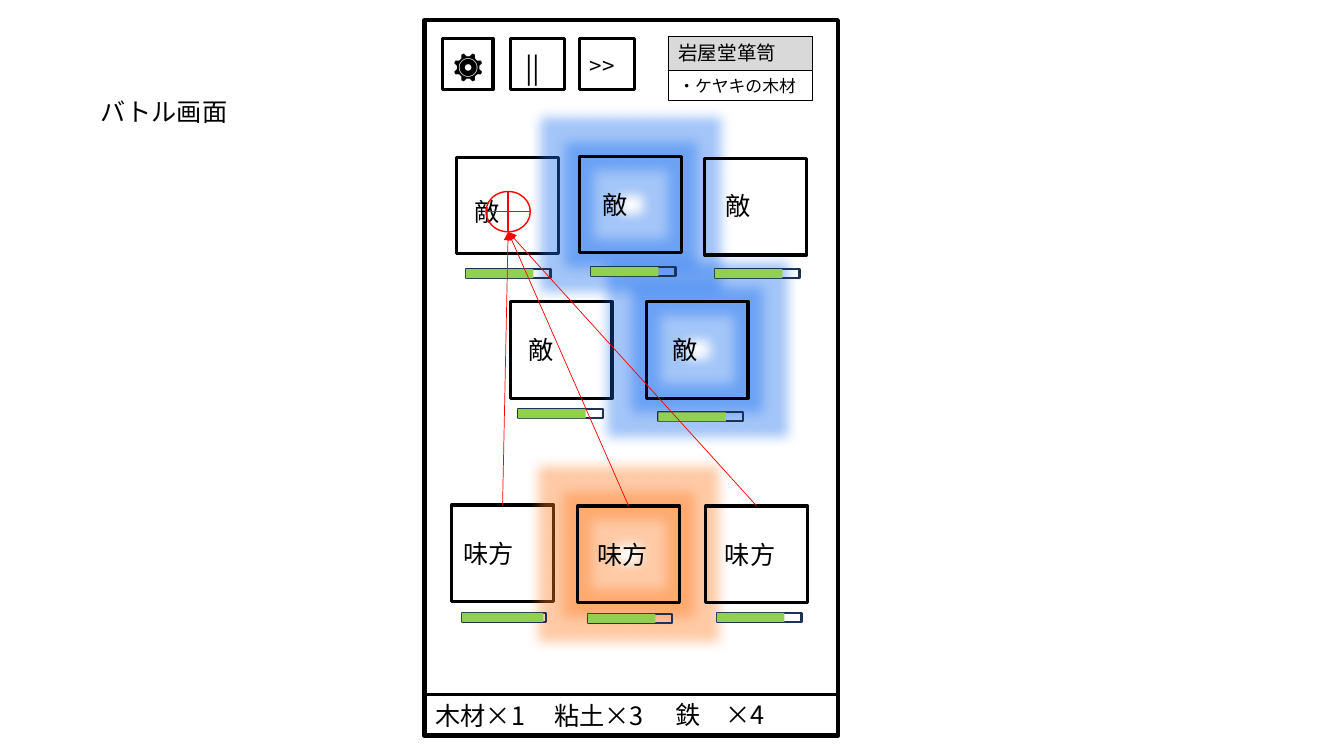
from dataclasses import dataclass
from typing import Optional

from lxml import etree
from pptx import Presentation
from pptx import util as u
from pptx.dml.color import RGBColor
from pptx.enum import shapes as sh, text as tx
from pptx.oxml import ns

COLS, ROWS = 1333, 750
FONT = "Noto Sans CJK JP"
BLACK, RED, NAVY = "000000", "FF0000", "1E3256"
GREEN, GRAY = "92D050", "D9D9D9"
BLUE, ORANGE = "196EF0", "FF7C20"
CARD_W, CARD_H = 101, 96
BAR_W, BAR_H = 84, 9

deck = Presentation()
deck.slide_width, deck.slide_height = u.Inches(13.33), u.Inches(7.5)
slide = deck.slides.add_slide(deck.slide_layouts[6])


@dataclass
class Box:
    """An area in grid columns and rows."""
    col: float
    row: float
    wide: float
    high: float

    def emu(self) -> list[int]:
        return [int(deck.slide_width * self.col / COLS),
                int(deck.slide_height * self.row / ROWS),
                int(deck.slide_width * self.wide / COLS),
                int(deck.slide_height * self.high / ROWS)]


@dataclass
class Card:
    """A fighter: card corner, label corner, health bar corner and level."""
    name: str
    card: tuple[int, int]
    label: tuple[int, int]
    bar: tuple[int, int]
    level: int = 67
    glow: Optional[str] = None


@dataclass
class Label:
    text: str
    box: Box
    size: int = 18


@dataclass
class Panel:
    label: Label
    fill: Optional[str] = None


ALLIES = [
    Card("味方", (448, 501), (450, 529), (458, 608), level=81),
    Card("味方", (573, 502), (583, 530), (583, 609), glow=ORANGE),
    Card("味方", (700, 502), (709, 530), (711, 608)),
]
FOES = [
    Card("敵", (453, 156), (461, 190), (462, 267)),
    Card("敵", (575, 155), (588, 183), (586, 265), glow=BLUE),
    Card("敵", (699, 157), (710, 184), (709, 267)),
    Card("敵", (506, 299), (514, 327), (514, 406)),
    Card("敵", (641, 299), (657, 327), (653, 409), glow=BLUE),
]
BUTTONS = [
    (Box(506, 38, 54, 51), Label("||", Box(511, 45, 45, 44), 20)),
    (Box(439, 38, 50, 51), Label("⚙", Box(439, 39, 54, 50), 24)),
    (Box(575, 38, 54, 51), Label(">>", Box(575, 47, 54, 37), 16)),
]
STOCK = [
    Label("木材×1", Box(422, 690, 125, 40)),
    Label("粘土×3", Box(540, 690, 130, 40)),
    Label("鉄\u3000×4".replace("\u3000", "　"), Box(660, 689, 135, 40)),
]
PANELS = [
    Panel(Label("岩屋堂箪笥", Box(663, 36, 143, 34), 14), GRAY),
    Panel(Label("・ケヤキの木材", Box(663, 70, 143, 30), 12)),
]


def hue(code: str) -> RGBColor:
    return RGBColor.from_string(code)


def tag(root, name: str, **attrs: str):
    """Append a DrawingML element."""
    return etree.SubElement(root, ns.qn("a:" + name), attrs)


def shape(box: Box, line: Optional[str] = BLACK, width: float = 2.25,
          fill: Optional[str] = None, kind=sh.MSO_SHAPE.RECTANGLE):
    item = slide.shapes.add_shape(kind, *box.emu())
    item.shadow.inherit = False
    if fill:
        item.fill.solid()
        item.fill.fore_color.rgb = hue(fill)
    else:
        item.fill.background()
    if line:
        item.line.color.rgb = hue(line)
        item.line.width = u.Pt(width)
    else:
        item.line.fill.background()
    return item


def shine(item, color: str) -> None:
    """Surround a shape with a soft glow."""
    effects = item.element.spPr.find(ns.qn("a:effectLst"))
    glow = tag(effects, "glow", rad=str(u.Pt(18)))
    tag(tag(glow, "srgbClr", val=color), "alpha", val="40000")


def write(item, label: Label) -> None:
    frame = item.text_frame
    look = {"word_wrap": True, "auto_size": tx.MSO_AUTO_SIZE.SHAPE_TO_FIT_TEXT,
            "vertical_anchor": tx.MSO_ANCHOR.TOP}
    for key, val in look.items():
        setattr(frame, key, val)
    para = frame.paragraphs[0]
    para.alignment = tx.PP_ALIGN.LEFT
    run = para.add_run()
    run.text = label.text
    for key, val in {"size": u.Pt(label.size), "name": FONT}.items():
        setattr(run.font, key, val)
    run.font.color.rgb = hue(BLACK)
    tag(run.font._element, "ea", typeface=FONT)


def note(label: Label) -> None:
    write(slide.shapes.add_textbox(*label.box.emu()), label)


def health(card: Card) -> None:
    shape(Box(*card.bar, BAR_W, BAR_H), NAVY, 1.5)
    shape(Box(*card.bar, card.level, BAR_H), None, fill=GREEN)


def aim(card: Card, goal: tuple[int, int]) -> None:
    """Draw an arrow from the top middle of a card to the goal."""
    start = Box(card.card[0] + CARD_W / 2, card.card[1], *goal).emu()
    arrow = slide.shapes.add_connector(sh.MSO_CONNECTOR.STRAIGHT, *start)
    arrow.line.color.rgb = hue(RED)
    arrow.line.width = u.Pt(0.5)
    tag(arrow.line._get_or_add_ln(), "tailEnd", type="triangle")
    tag(arrow.element.spPr, "effectLst")


def main() -> None:
    cards = ALLIES + FOES
    shape(Box(421, 20, 410, 710), width=3)
    for card in cards:
        frame = shape(Box(*card.card, CARD_W, CARD_H))
        if card.glow:
            shine(frame, card.glow)
    for card in cards:
        note(Label(card.name, Box(*card.label, 91, 40)))
    note(Label("バトル画面", Box(90, 91, 206, 40)))
    for card in FOES + ALLIES:
        health(card)

    sight = Box(482, 190, 44, 40)
    shape(sight, RED, 1, kind=sh.MSO_SHAPE.FLOWCHART_OR)
    for card in ALLIES:
        aim(card, (sight.col + sight.wide / 2, sight.row + sight.high))

    for frame, sign in BUTTONS:
        shape(frame)
        note(sign)
    shape(Box(421, 689, 410, 40))
    for label in STOCK:
        note(label)
    for panel in PANELS:
        write(shape(panel.label.box, width=1, fill=panel.fill), panel.label)
    deck.save("out.pptx")


if __name__ == "__main__":
    main()
